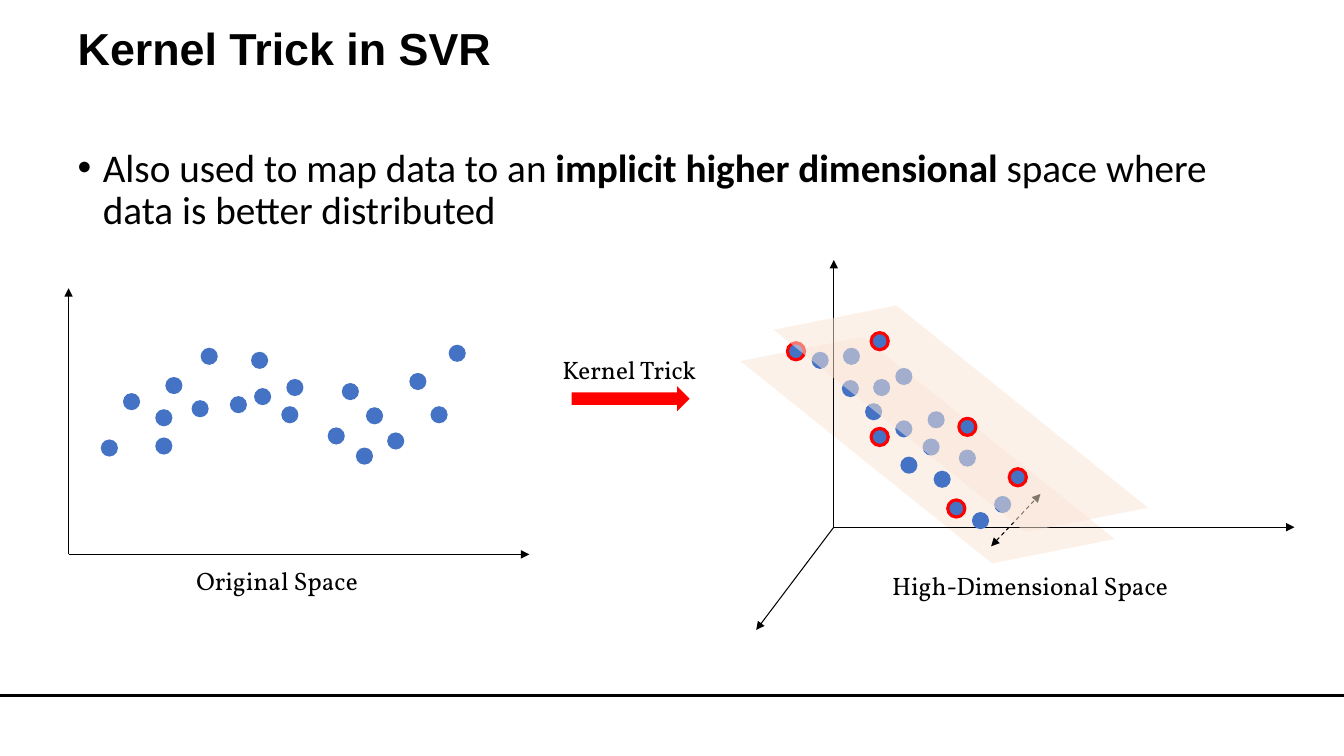
"""Build the slide that shows the kernel trick in support vector regression."""
from lxml.etree import SubElement
from pptx import Presentation
from pptx.dml.color import RGBColor
from pptx.enum.dml import MSO_LINE_DASH_STYLE as Dash
from pptx.enum.shapes import MSO_CONNECTOR as Connector, MSO_SHAPE as Shape
from pptx.enum.text import MSO_ANCHOR as Anchor, MSO_AUTO_SIZE as AutoSize, PP_ALIGN as Align
from pptx.oxml.ns import qn
from pptx.util import Inches, Pt

COLORS = {"ink": "000000", "dot": "4472C4", "support": "FF0000", "plane": "FBE5D6"}
DOT_SIZE = 0.17

deck = Presentation()
deck.slide_width, deck.slide_height = Inches(13.33), Inches(7.5)
page = deck.slides.add_slide(deck.slide_layouts[1])


def add_filled(kind, left, top, width, height, color, rotation=0):
    shape = page.shapes.add_shape(kind, *map(Inches, (left, top, width, height)))
    shape.shadow.inherit = False
    shape.fill.solid()
    shape.fill.fore_color.rgb = RGBColor.from_string(COLORS[color])
    shape.line.fill.background()
    shape.rotation = rotation
    return shape


def add_run(para, text, font, size, bold=False):
    span = para.add_run()
    span.text = text
    span.font.name, span.font.size, span.font.bold = font, Pt(size), bold
    span.font.color.rgb = RGBColor.from_string(COLORS["ink"])


title, body = page.shapes.title, page.placeholders[1]
for box, top, height in [(title, 0.22, 1), (body, 1.42, 4.94)]:
    box.left, box.top, box.width, box.height = map(Inches, (0.67, top, 11.99, height))
    box.text_frame.word_wrap = True
    box.text_frame.auto_size = AutoSize.NONE
    box.text_frame.vertical_anchor = Anchor.TOP
    para = box.text_frame.paragraphs[0]
    para.alignment = Align.LEFT
    para.line_spacing = 0.9

add_run(title.text_frame.paragraphs[0], "Kernel Trick in SVR", "Arial", 32, True)

bullet = body.text_frame.paragraphs[0]
bullet.space_before = Pt(10)
for text, bold in [
    ("Also used to map data to an ", False),
    ("implicit higher dimensional ", True),
    ("space where data is better distributed", False),
]:
    add_run(bullet, text, "Calibri", 28, bold)
properties = bullet._p.get_or_add_pPr()
properties.set("marL", str(Inches(0.25)))
properties.set("indent", str(Inches(-0.25)))
SubElement(properties, qn("a:buFont"), typeface="Arial")
SubElement(properties, qn("a:buChar"), char="•")

original_dots = [
    (1.54, 4.34), (2.28, 3.93), (1.99, 3.45), (3.53, 4.44), (4.27, 4.03), (1.22, 3.9),
    (3.25, 4.24), (1.64, 3.74), (3.63, 4.04), (1, 4.36), (2.79, 4.03), (2.49, 3.49),
    (1.9, 3.97), (2.52, 3.85), (2.84, 3.76), (1.54, 4.06), (3.84, 4.29), (4.45, 3.42),
    (3.39, 3.8), (4.06, 3.7),
]
mapped_dots = [
    (8.05, 3.49), (8.35, 3.77), (9.86, 4.92), (8.36, 3.45), (8.66, 3.76), (9.15, 4.35),
    (8.58, 4), (8.88, 4.17), (9.2, 4.08), (8.93, 4.53), (9.26, 4.67), (8.88, 3.65),
    (9.51, 4.46), (9.64, 5.08),
]
lower_support = [(8.64, 4.25), (9.4, 4.96), (7.81, 3.4)]
upper_support = [(9.51, 4.15), (10.01, 4.65), (8.64, 3.3)]

lines = [
    ((0, 6.9), (13.33, 6.9), 2, []),
    ((0.68, 5.5), (5.25, 5.5), 0.75, ["tailEnd"]),
    ((0.68, 5.5), (0.68, 2.86), 0.75, ["tailEnd"]),
    ((8.27, 5.23), (12.84, 5.23), 0.75, ["tailEnd"]),
    ((8.27, 5.23), (8.27, 2.58), 0.75, ["tailEnd"]),
    ((8.27, 5.23), (7.5, 6.25), 0.75, ["tailEnd"]),
    ((9.83, 5.42), (10.32, 4.9), 0.75, ["headEnd", "tailEnd"]),
]

layers = [
    ((7.2, 3.99), original_dots + mapped_dots, lower_support, lines),
    ((7.53, 3.68), [], upper_support, []),
]
for (left, top), plain_dots, support_dots, layer_lines in layers:
    plane = add_filled(Shape.PARALLELOGRAM, left, top, 4, 0.95, "plane", 38.8)
    plane.adjustments[0] = 0.84
    plane_color = plane.fill._xPr.find(qn("a:solidFill"))[0]
    SubElement(plane_color, qn("a:alpha"), val="52000")

    for start, end, width, arrowheads in layer_lines:
        line = page.shapes.add_connector(Connector.STRAIGHT, *map(Inches, start + end))
        line.line.color.rgb = RGBColor.from_string(COLORS["ink"])
        line.line.width = Pt(width)
        if len(arrowheads) == 2:
            line.line.dash_style = Dash.DASH
        for arrowhead in arrowheads:
            SubElement(line.line._get_or_add_ln(), qn(f"a:{arrowhead}"), type="triangle")
        SubElement(line._element.spPr, qn("a:effectLst"))

    for left, top in plain_dots:
        add_filled(Shape.OVAL, left, top, DOT_SIZE, DOT_SIZE, "dot")
    for left, top in support_dots:
        dot = add_filled(Shape.OVAL, left, top, DOT_SIZE, DOT_SIZE, "dot")
        dot.line.color.rgb = RGBColor.from_string(COLORS["support"])
        dot.line.width = Pt(2.25)

add_filled(Shape.DOWN_ARROW, 6.13, 3.37, 0.25, 1.17, "support", 270)

for text, left, top, width in [
    ("Original Space", 1.85, 5.56, 1.84),
    ("High-Dimensional Space", 8.75, 5.61, 3.05),
    ("Kernel Trick", 5.48, 3.47, 1.57),
]:
    label = page.shapes.add_textbox(*map(Inches, (left, top, width, 0.4)))
    label.text_frame.word_wrap = False
    label.text_frame.auto_size = AutoSize.SHAPE_TO_FIT_TEXT
    add_run(label.text_frame.paragraphs[0], text, "Vollkorn", 18)

deck.save("out.pptx")
